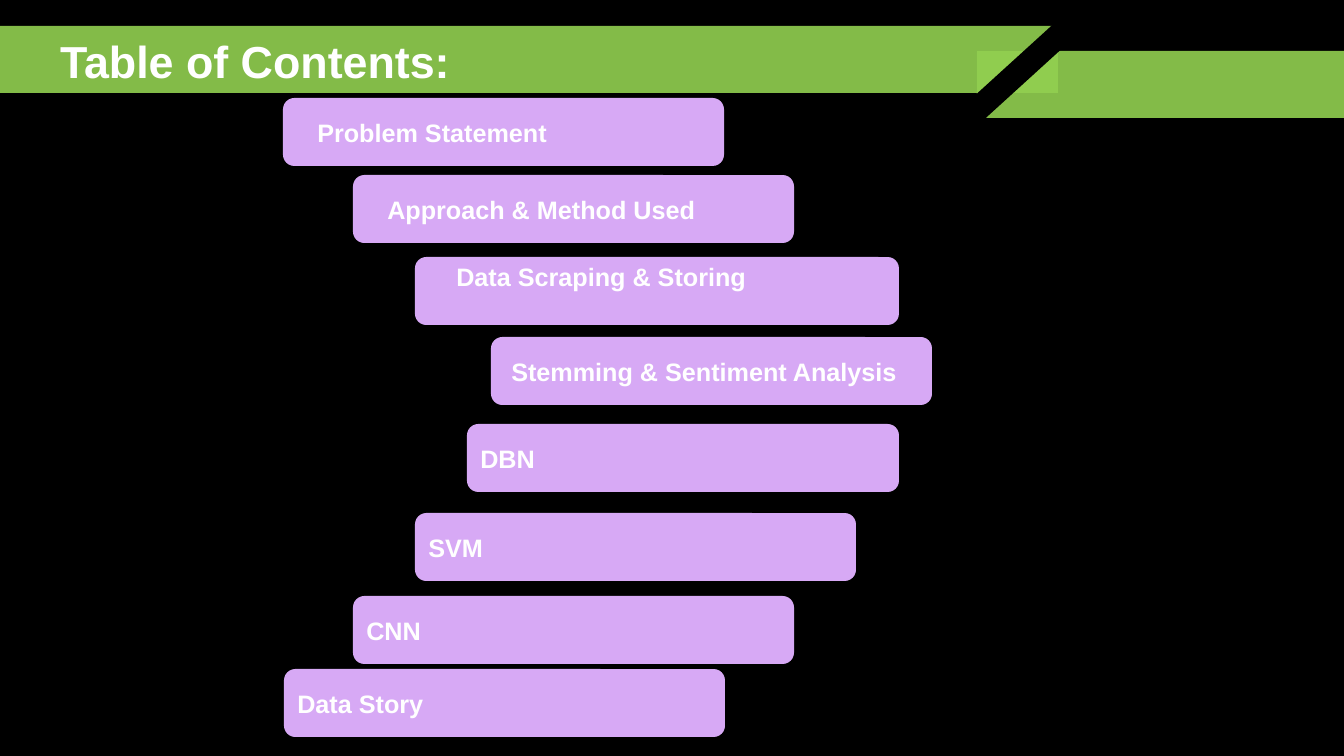
from lxml import etree
from pptx import Presentation
from pptx.dml.color import RGBColor
from pptx.enum.shapes import MSO_SHAPE
from pptx.enum.text import MSO_ANCHOR, MSO_AUTO_SIZE, PP_ALIGN
from pptx.oxml.ns import qn
from pptx.util import Pt

RECT, ROUNDED = MSO_SHAPE.RECTANGLE, MSO_SHAPE.ROUNDED_RECTANGLE
MIDDLE, BOTTOM = MSO_ANCHOR.MIDDLE, MSO_ANCHOR.BOTTOM
LEFT, NO_FIT = PP_ALIGN.LEFT, MSO_AUTO_SIZE.NONE

BLACK = RGBColor(0x00, 0x00, 0x00)
WHITE = RGBColor(0xFF, 0xFF, 0xFF)
GREEN = RGBColor(0x92, 0xD0, 0x50)
LILAC = RGBColor(0xD7, 0xA9, 0xF5)

FONT = "Arial"
SLIDE_W, SLIDE_H = 1344, 756
EMU_PER_PX = 12192000 / SLIDE_W
STEP_H = 68
INSET_X, INSET_Y = 10, 5

# text, left, top, width, left inset, bottom inset
STEPS = [
    ("Problem Statement", 283, 98, 441, 31, INSET_Y),
    ("Approach & Method Used", 353, 175, 441, 31, INSET_Y),
    ("Data Scraping & Storing", 415, 257, 484, 38, 34),
    ("Stemming & Sentiment Analysis", 491, 337, 441, 17, INSET_Y),
    ("DBN", 467, 424, 432, INSET_X, INSET_Y),
    ("SVM", 415, 513, 441, INSET_X, INSET_Y),
    ("CNN", 353, 596, 441, INSET_X, INSET_Y),
    ("Data Story", 284, 669, 441, INSET_X, INSET_Y),
]


def px(n):
    return round(n * EMU_PER_PX)


def set_fill(sp, color, alpha=None):
    """Fill a shape; alpha is its opacity in percent."""
    sp.fill.solid()
    sp.fill.fore_color.rgb = color
    if alpha is not None:
        clr = sp.fill._xPr.find(qn("a:solidFill"))[0]
        etree.SubElement(clr, qn("a:alpha"), val=str(alpha * 1000))


def add_block(slide, kind, box, color, alpha=None):
    sp = slide.shapes.add_shape(kind, *map(px, box))
    sp.shadow.inherit = False
    sp.line.fill.background()
    set_fill(sp, color, alpha)
    return sp


def write(sp, text, size, anchor, left, bottom=INSET_Y):
    """Put one bold white line in a shape and return its paragraph."""
    tf = sp.text_frame
    tf.word_wrap = True
    tf.auto_size = NO_FIT
    tf.vertical_anchor = anchor
    tf.margin_left, tf.margin_right = px(left), px(INSET_X)
    tf.margin_top, tf.margin_bottom = px(INSET_Y), px(bottom)
    p = tf.paragraphs[0]
    p.text = text
    p.alignment = LEFT
    p.font.name = FONT
    p.font.size = Pt(size)
    p.font.bold = True
    p.font.color.rgb = WHITE
    return p


def add_header(slide, x, y):
    """Title band, second band and the slanted gap between them."""
    title = slide.shapes.title
    title.left, title.top, title.width, title.height = map(px, (x, y, 1058, 67))
    set_fill(title, GREEN, 90)
    p = write(title, "Table of Contents:", 32, BOTTOM, 60)
    p.line_spacing = 0.9
    add_block(slide, RECT, (x + 977, y + 25, 367, 67), GREEN, 90)
    gap = add_block(slide, RECT, (x + 938, y + 34, 161, 24), BLACK)
    gap.rotation = 137.7


def add_steps(slide):
    for text, x, y, w, left, bottom in STEPS:
        sp = add_block(slide, ROUNDED, (x, y, w, STEP_H), LILAC)
        write(sp, text, 18, MIDDLE, left, bottom)


def main():
    prs = Presentation()
    prs.slide_width, prs.slide_height = px(SLIDE_W), px(SLIDE_H)
    slide = prs.slides.add_slide(prs.slide_layouts.get_by_name("Title Only"))
    slide.background.fill.solid()
    slide.background.fill.fore_color.rgb = BLACK
    add_header(slide, 0, 26)
    add_steps(slide)
    prs.save("out.pptx")


if __name__ == "__main__":
    main()
